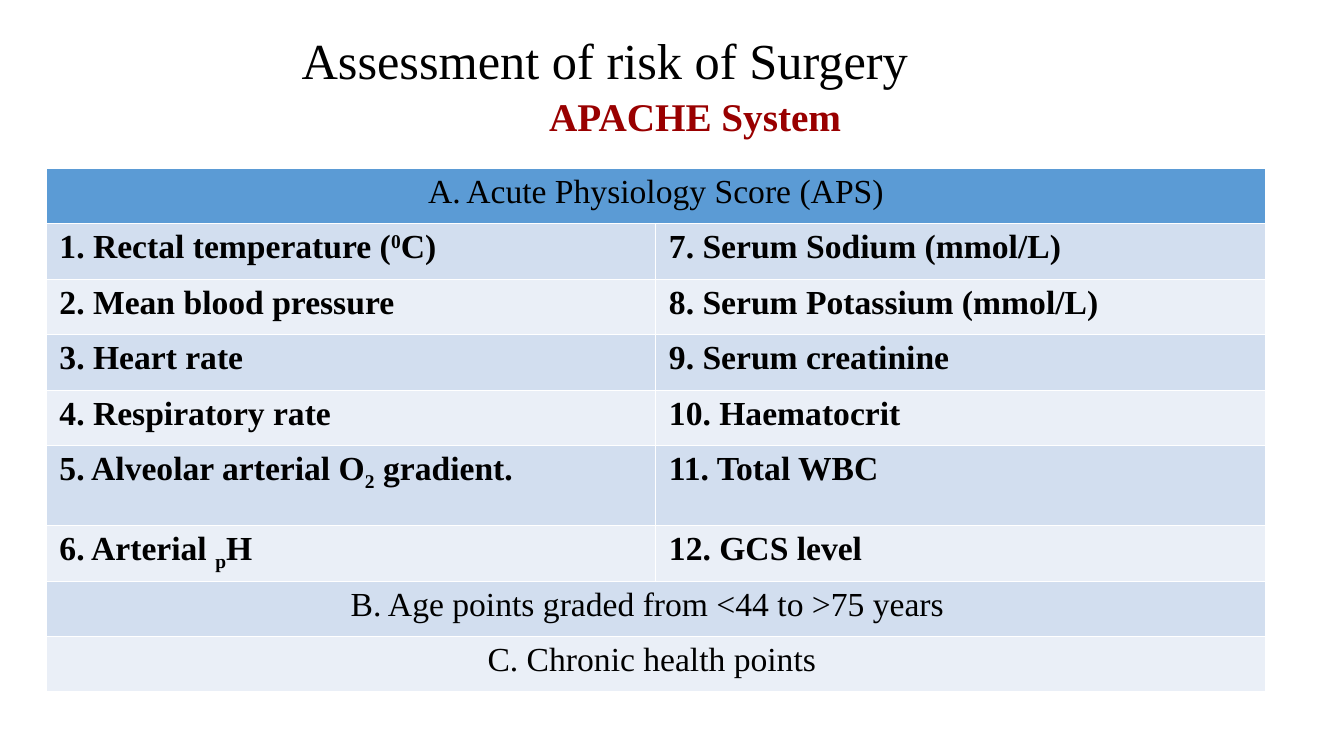
from pptx import Presentation
from pptx.dml.color import RGBColor
from pptx.enum.text import MSO_ANCHOR, PP_ALIGN
from pptx.oxml import parse_xml
from pptx.oxml.ns import nsdecls
from pptx.util import Inches, Pt

FONT = "Times New Roman"
BLACK, WHITE, DARK_RED = "000000", "FFFFFF", "990000"
HEADER_BLUE, BANDS = "5B9BD5", ("D2DEEF", "EAEFF7")
ROW_HEIGHT, TALL_ROW_HEIGHT, TALL_ROW = 0.55, 0.79, 5

# Each entry is a list of (text, baseline percent) pieces
LEFT_ITEMS = [
    [("1. Rectal temperature (", 0), ("0", 30), ("C)", 0)],
    [("2. Mean blood pressure", 0)],
    [("3. Heart rate", 0)],
    [("4. Respiratory rate", 0)],
    [("5. Alveolar arterial O", 0), ("2", -25), (" gradient.", 0)],
    [("6. Arterial ", 0), ("p", -25), ("H", 0)],
]
RIGHT_ITEMS = [
    "7. Serum Sodium (mmol/L)",
    "8. Serum Potassium (mmol/L)",
    "9. Serum creatinine",
    "10. Haematocrit",
    "11. Total WBC",
    "12. GCS level",
]


def color(value):
    return RGBColor.from_string(value)


def format_run(run, size, font_color, bold=False, baseline=0):
    run.font.name = FONT
    run.font.size = Pt(size)
    run.font.bold = bold
    run.font.color.rgb = color(font_color)
    if baseline:
        run.font._element.set("baseline", str(baseline * 1000))


def add_heading(slide, box, text, size, font_color, bold, anchor):
    shape = slide.shapes.add_textbox(*map(Inches, box))
    text_frame = shape.text_frame
    text_frame.word_wrap = True
    text_frame.vertical_anchor = anchor
    text_frame.text = text
    paragraph = text_frame.paragraphs[0]
    paragraph.alignment = PP_ALIGN.CENTER
    paragraph.line_spacing = 0.9
    format_run(paragraph.runs[0], size, font_color, bold)


def style_cell(cell, fill_color):
    properties = cell._tc.get_or_add_tcPr()
    for side in ("lnL", "lnR", "lnT", "lnB"):
        properties.append(parse_xml(
            f'<a:{side} {nsdecls("a")} w="12700"><a:solidFill>'
            f'<a:srgbClr val="{WHITE}"/></a:solidFill></a:{side}>'))
    cell.fill.solid()
    cell.fill.fore_color.rgb = color(fill_color)
    cell.margin_left = cell.margin_right = Inches(0.13)
    cell.margin_top = cell.margin_bottom = Inches(0.05)


def write_item(cell, pieces):
    paragraph = cell.text_frame.paragraphs[0]
    for text, baseline in pieces:
        run = paragraph.add_run()
        run.text = text
        format_run(run, 24, BLACK, True, baseline)


def write_section(table, row, text, right_margin=0.13):
    cell = table.cell(row, 0)
    cell.merge(table.cell(row, 1))
    cell.margin_right = Inches(right_margin)
    cell.text_frame.text = text
    paragraph = cell.text_frame.paragraphs[0]
    paragraph.alignment = PP_ALIGN.CENTER
    format_run(paragraph.runs[0], 24, BLACK)
    return paragraph


def number_with_letter(paragraph):
    properties = paragraph._p.get_or_add_pPr()
    properties.set("marL", str(Inches(0.38)))
    properties.set("indent", str(-Inches(0.38)))
    properties.append(parse_xml(
        f'<a:buFont {nsdecls("a")} typeface="{FONT}"/>'))
    properties.append(parse_xml(
        f'<a:buAutoNum {nsdecls("a")} type="alphaUcPeriod"/>'))


def add_score_table(slide):
    row_count = len(LEFT_ITEMS) + 3
    frame = slide.shapes.add_table(
        row_count, 2, Inches(0.46), Inches(1.67), Inches(12.09), Inches(5.18))
    table = frame.table
    table.first_row = table.horz_banding = False

    # Row heights, fills and borders
    for index, row in enumerate(table.rows):
        row.height = Inches(TALL_ROW_HEIGHT if index == TALL_ROW else ROW_HEIGHT)
        fill_color = BANDS[(index - 1) % 2] if index else HEADER_BLUE
        for cell in row.cells:
            style_cell(cell, fill_color)

    # Score items
    for index, (left, right) in enumerate(zip(LEFT_ITEMS, RIGHT_ITEMS), start=1):
        write_item(table.cell(index, 0), left)
        write_item(table.cell(index, 1), [(right, 0)])

    # Full-width sections
    number_with_letter(write_section(table, 0, "Acute Physiology Score (APS)"))
    write_section(table, row_count - 2,
                  "B. Age points graded from <44 to >75 years", 0.3)
    write_section(table, row_count - 1, "C. Chronic health points", 0.21)


def main():
    presentation = Presentation()
    presentation.slide_width = Inches(13.33)
    presentation.slide_height = Inches(7.5)
    slide = presentation.slides.add_slide(presentation.slide_layouts[6])

    # Headings
    add_heading(slide, (0, 0, 12, 1.25), "Assessment of risk of Surgery",
                36, BLACK, False, MSO_ANCHOR.MIDDLE)
    add_heading(slide, (0.56, 0.92, 12.67, 5.67), "APACHE System",
                28, DARK_RED, True, MSO_ANCHOR.TOP)

    add_score_table(slide)
    presentation.save("out.pptx")


if __name__ == "__main__":
    main()
